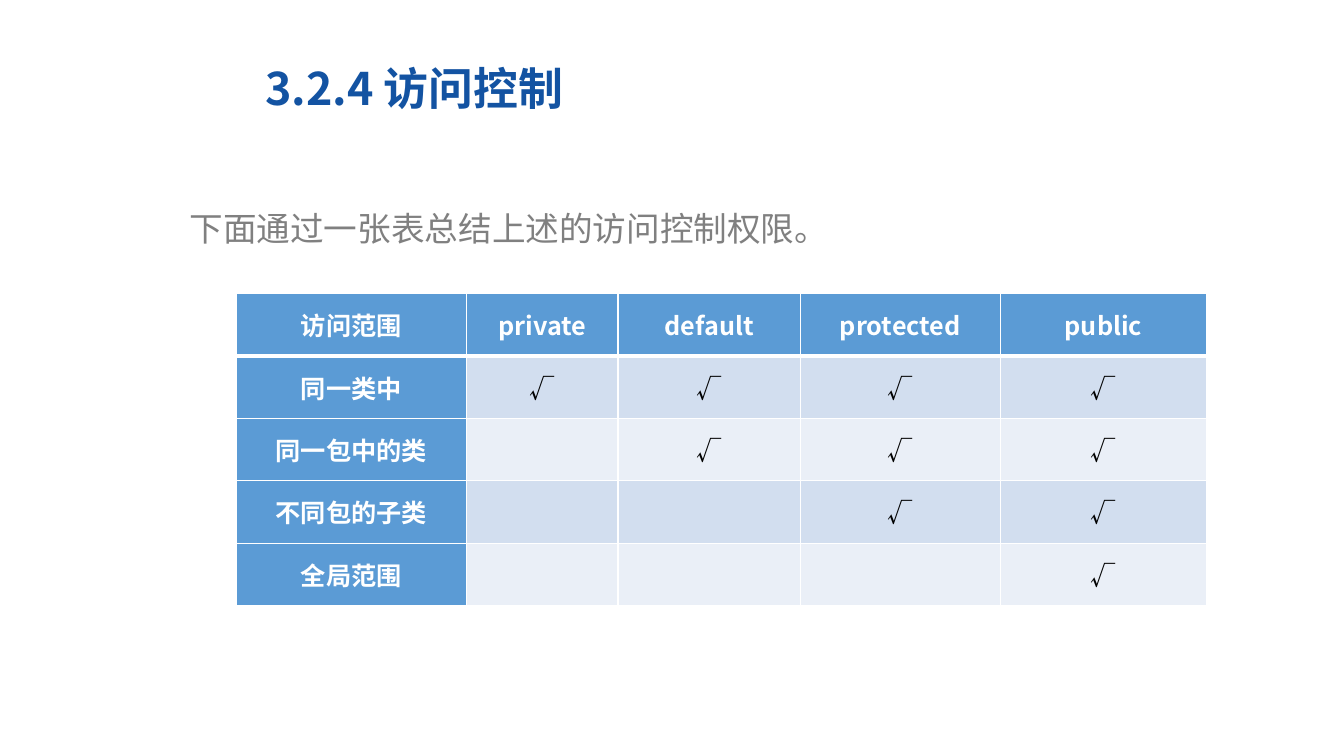
"""Build the slide that sums up Java access control in a table."""
import pptx
import pptx.util
import pptx.dml.color
import pptx.enum.text
import pptx.oxml
import pptx.oxml.ns
from lxml import etree

Inches, Pt = pptx.util.Inches, pptx.util.Pt
qn = pptx.oxml.ns.qn
FONT = "Noto Sans CJK SC"
COLOURS = {
    "title": "1353A2",
    "intro": "808080",
    "header": "5B9BD5",
    "odd": "D2DEEF",
    "even": "EAEFF7",
    "white": "FFFFFF",
    "black": "000000",
}


def style_text(paragraph, size, colour, bold):
    for run in paragraph.runs:
        run.font.size = Pt(size)
        run.font.bold = bold
        run.font.name = FONT
        run.font.color.rgb = pptx.dml.color.RGBColor.from_string(COLOURS[colour])
        east_asian = etree.SubElement(run.font._element, qn("a:ea"))
        east_asian.set("typeface", FONT)


def add_border(cell, side, width):
    line = pptx.oxml.parse_xml(
        f'<a:{side} xmlns:a="http://schemas.openxmlformats.org/drawingml/2006/main" '
        f'w="{Pt(width)}"><a:solidFill><a:srgbClr val="{COLOURS["white"]}"/>'
        f"</a:solidFill></a:{side}>"
    )
    cell._tc.get_or_add_tcPr().append(line)


deck = pptx.Presentation()
deck.slide_width, deck.slide_height = Inches(13.33), Inches(7.5)
slide = deck.slides.add_slide(deck.slide_layouts[1])

heading = slide.shapes.title
heading.left, heading.top = Inches(2.53), Inches(0.55)
heading.width, heading.height = Inches(5.58), Inches(0.64)
heading.text_frame.text = "3.2.4 访问控制"
heading.text_frame.vertical_anchor = pptx.enum.text.MSO_ANCHOR.MIDDLE
heading.text_frame.paragraphs[0].alignment = pptx.enum.text.PP_ALIGN.LEFT
style_text(heading.text_frame.paragraphs[0], 32, "title", True)

intro = slide.placeholders[1]
intro.left, intro.top = Inches(1.78), Inches(1.81)
intro.width, intro.height = Inches(10.88), Inches(0.94)
intro.text_frame.text = "下面通过一张表总结上述的访问控制权限。"
intro_line = intro.text_frame.paragraphs[0]
intro_line.line_spacing = 1.5
intro_line.space_before = Pt(0)
intro_format = intro_line._p.get_or_add_pPr()
intro_format.set("marL", "0")
intro_format.set("indent", "0")
etree.SubElement(intro_format, qn("a:buNone"))
style_text(intro_line, 24, "intro", False)

modifiers = ["private", "default", "protected", "public"]
scopes = ["同一类中", "同一包中的类", "不同包的子类", "全局范围"]
access_rows = [["访问范围", *modifiers]]
for first_allowed, scope in enumerate(scopes):
    marks = ["√" if column >= first_allowed else "" for column in range(len(modifiers))]
    access_rows.append([scope, *marks])

column_widths = [2.29, 1.5, 1.81, 1.98, 2.05]
row_height = 0.62
access = slide.shapes.add_table(
    len(access_rows), len(column_widths),
    Inches(2.34), Inches(2.91),
    Inches(sum(column_widths)), Inches(row_height * len(access_rows)),
).table
for column, width in zip(access.columns, column_widths):
    column.width = Inches(width)

for row_number, row_texts in enumerate(access_rows):
    access.rows[row_number].height = Inches(row_height)
    for column_number, text in enumerate(row_texts):
        cell = access.cell(row_number, column_number)
        is_header = row_number == 0 or column_number == 0
        band = "header" if is_header else "odd" if row_number % 2 else "even"
        cell.margin_left = cell.margin_right = Inches(0.07)
        cell.margin_top = cell.margin_bottom = 0
        cell.vertical_anchor = pptx.enum.text.MSO_ANCHOR.MIDDLE
        for side in ("lnL", "lnR", "lnT", "lnB"):
            below_header = (row_number, side) in ((0, "lnB"), (1, "lnT"))
            add_border(cell, side, 3 if below_header else 1)
        cell.fill.solid()
        cell.fill.fore_color.rgb = pptx.dml.color.RGBColor.from_string(COLOURS[band])
        cell.text_frame.text = text
        label = cell.text_frame.paragraphs[0]
        label.alignment = pptx.enum.text.PP_ALIGN.CENTER
        style_text(label, 18, "white" if is_header else "black", is_header)

deck.save("out.pptx")
